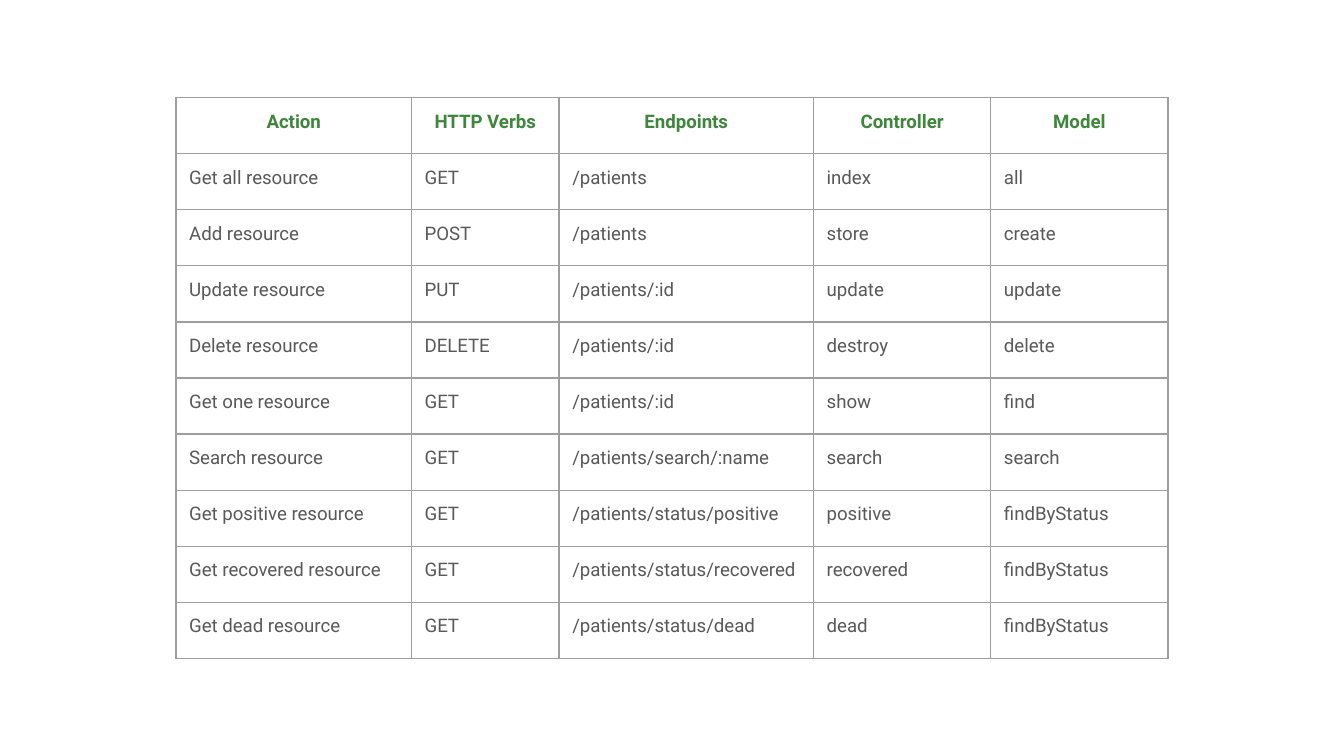
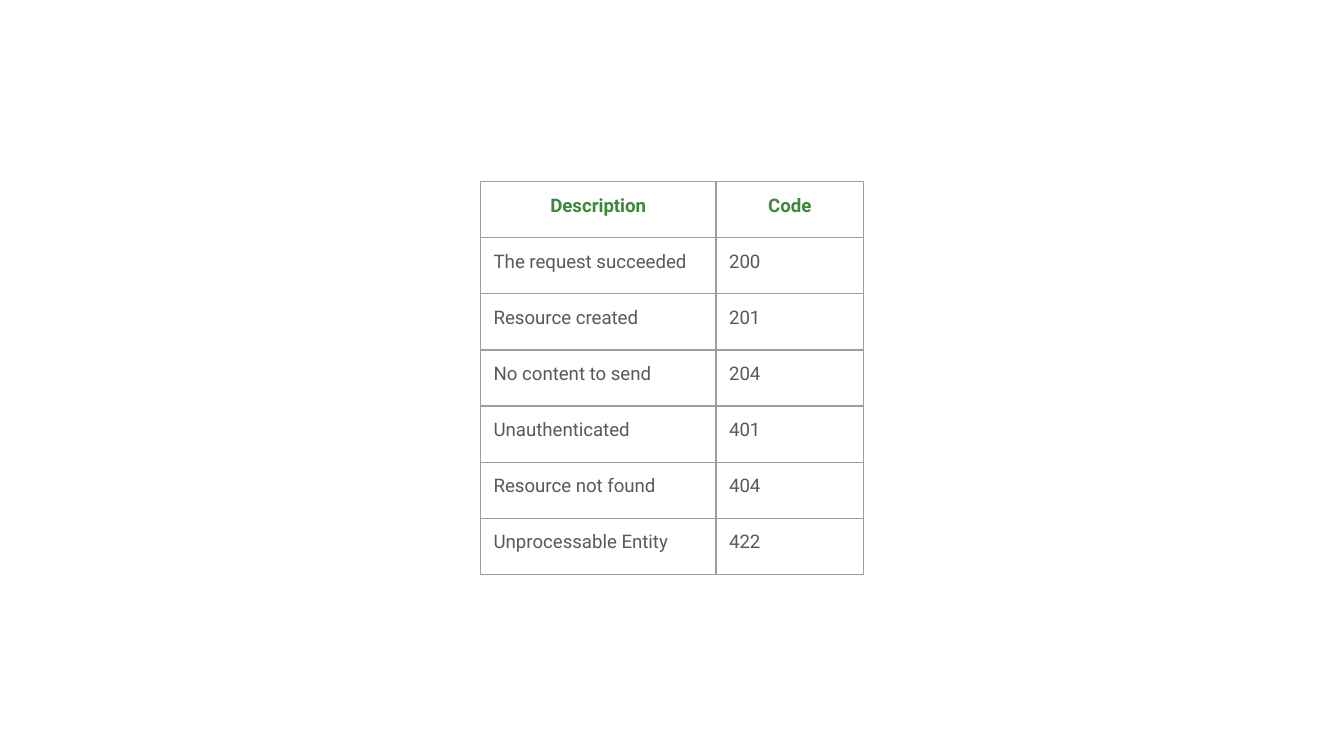
"""Builds two slides, each with one centred API reference table."""
from lxml.etree import SubElement
from pptx import Presentation
from pptx.dml.color import RGBColor
from pptx.enum.text import PP_ALIGN
from pptx.oxml.ns import qn
from pptx.util import Cm, Pt

ENDPOINTS = [
    ("Action", "HTTP Verbs", "Endpoints", "Controller", "Model"),
    ("Get all resource", "GET", "/patients", "index", "all"),
    ("Add resource", "POST", "/patients", "store", "create"),
    ("Update resource", "PUT", "/patients/:id", "update", "update"),
    ("Delete resource", "DELETE", "/patients/:id", "destroy", "delete"),
    ("Get one resource", "GET", "/patients/:id", "show", "find"),
    ("Search resource", "GET", "/patients/search/:name", "search", "search"),
    ("Get positive resource", "GET", "/patients/status/positive", "positive", "findByStatus"),
    ("Get recovered resource", "GET", "/patients/status/recovered", "recovered", "findByStatus"),
    ("Get dead resource", "GET", "/patients/status/dead", "dead", "findByStatus"),
]
STATUS_CODES = [
    ("Description", "Code"),
    ("The request succeeded", "200"),
    ("Resource created", "201"),
    ("No content to send", "204"),
    ("Unauthenticated", "401"),
    ("Resource not found", "404"),
    ("Unprocessable Entity", "422"),
]
TABLES = [
    (ENDPOINTS, (4.45, 2.79, 4.81, 3.35, 3.35)),
    (STATUS_CODES, (4.45, 2.79)),
]

SLIDE_WIDTH, SLIDE_HEIGHT = Cm(25.4), Cm(14.29)
ROW_HEIGHT = Cm(1.06)
CELL_MARGIN = Cm(0.25)
FONT_NAME, FONT_SIZE = "Roboto", Pt(10)
HEADER_COLOR, BODY_COLOR, BORDER_COLOR = "3C873A", "595959", "9E9E9E"
BORDER_WIDTH = Pt(0.75)


def color(value):
    return RGBColor.from_string(value)


def add_borders(cell):
    properties = cell._tc.get_or_add_tcPr()
    for side in ("a:lnL", "a:lnR", "a:lnT", "a:lnB"):
        line = SubElement(properties, qn(side), w=str(BORDER_WIDTH))
        fill = SubElement(line, qn("a:solidFill"))
        SubElement(fill, qn("a:srgbClr"), val=BORDER_COLOR)


def format_cell(cell, text, is_header):
    cell.margin_left = cell.margin_right = CELL_MARGIN
    cell.margin_top = cell.margin_bottom = CELL_MARGIN
    add_borders(cell)
    cell.fill.background()
    cell.text_frame.text = text
    paragraph = cell.text_frame.paragraphs[0]
    paragraph.alignment = PP_ALIGN.CENTER if is_header else PP_ALIGN.LEFT
    font = paragraph.runs[0].font
    font.name, font.size, font.bold = FONT_NAME, FONT_SIZE, is_header
    font.color.rgb = color(HEADER_COLOR if is_header else BODY_COLOR)


def add_centered_table(slide, rows, column_widths):
    widths = [Cm(width) for width in column_widths]
    width, height = sum(widths), ROW_HEIGHT * len(rows)
    left, top = (SLIDE_WIDTH - width) // 2, (SLIDE_HEIGHT - height) // 2
    table = slide.shapes.add_table(len(rows), len(widths), left, top, width, height).table
    table.first_row = table.horz_banding = False
    for column, column_width in zip(table.columns, widths):
        column.width = column_width
    for row_index, row in enumerate(rows):
        table.rows[row_index].height = ROW_HEIGHT
        for column_index, text in enumerate(row):
            format_cell(table.cell(row_index, column_index), text, row_index == 0)


def main():
    presentation = Presentation()
    presentation.slide_width, presentation.slide_height = SLIDE_WIDTH, SLIDE_HEIGHT
    for rows, column_widths in TABLES:
        slide = presentation.slides.add_slide(presentation.slide_layouts[6])
        add_centered_table(slide, rows, column_widths)
    presentation.save("out.pptx")


if __name__ == "__main__":
    main()
